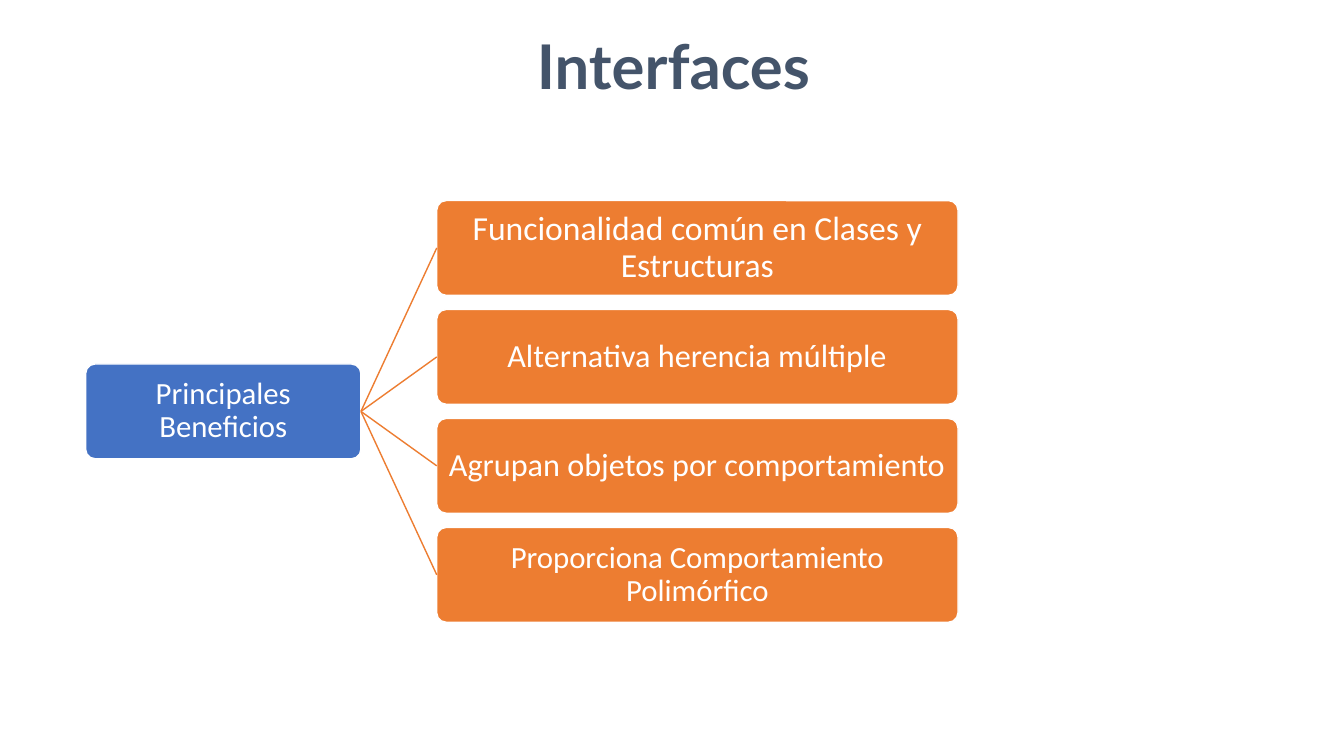
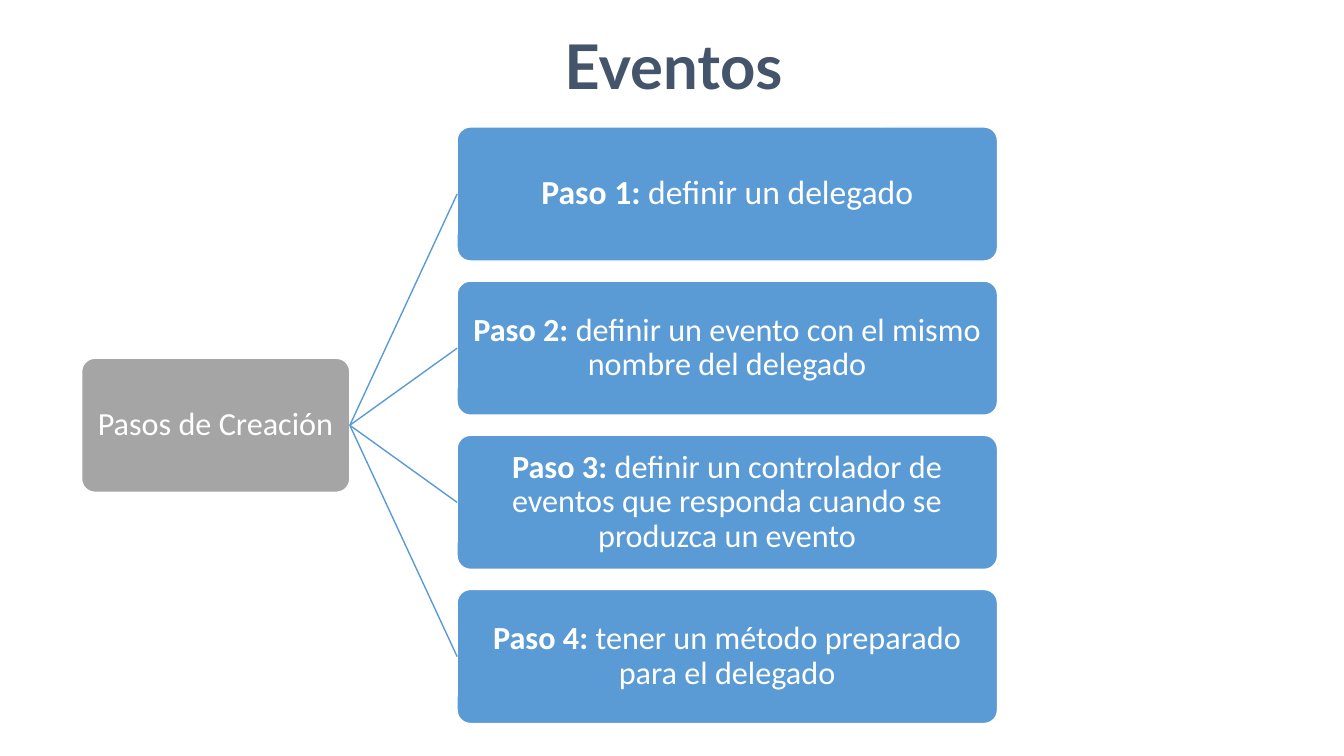
from pptx import Presentation
from pptx.dml.color import RGBColor
from pptx.enum.shapes import MSO_CONNECTOR as Connector, MSO_SHAPE as Shape
from pptx.enum.text import MSO_ANCHOR as Anchor, MSO_AUTO_SIZE as AutoSize, PP_ALIGN as Align
from pptx.oxml.ns import qn
from pptx.util import Inches, Pt
from lxml.etree import SubElement

WHITE, SLATE = "FFFFFF", "44546A"
BLUE, ORANGE, GRAY, SKY = "4472C4", "ED7D31", "A5A5A5", "5B9BD5"
TITLE_FONT, BODY_FONT = "Lato", "Calibri"
TITLE_LAYOUT = 5
RIGHT_SITE, LEFT_SITE = 3, 1
PITCH_RATIO, GAP_RATIO = 1.15, 0.8


def color(code):
    return RGBColor.from_string(code)


def write_text(shape, text, size, label="", font=BODY_FONT, ink=WHITE, bold=False,
               anchor=Anchor.MIDDLE, side_inset=0.02, line_spacing=0.9):
    frame = shape.text_frame
    frame.word_wrap = True
    frame.auto_size = AutoSize.NONE
    frame.vertical_anchor = anchor
    frame.margin_left = frame.margin_right = Inches(side_inset)
    frame.margin_top = frame.margin_bottom = Inches(0.02)
    para = frame.paragraphs[0]
    para.alignment = Align.CENTER
    para.line_spacing = line_spacing
    for words, heavy in ((label, True), (text, bold)):
        if words:
            span = para.add_run()
            span.text = words
            span.font.name = font
            span.font.size = Pt(size)
            span.font.bold = heavy
            span.font.color.rgb = color(ink)


def add_titled_page(deck, title):
    page = deck.slides.add_slide(deck.slide_layouts[TITLE_LAYOUT])
    box = page.shapes.title
    box.left, box.top = Inches(0.13), Inches(0.26)
    box.width, box.height = Inches(13.1), Inches(0.79)
    write_text(box, title, 44, font=TITLE_FONT, ink=SLATE, bold=True,
               anchor=Anchor.TOP, side_inset=0.05, line_spacing=1.0)
    return page


def add_node(page, left, top, width, height, fill, text, size, label=""):
    node = page.shapes.add_shape(Shape.ROUNDED_RECTANGLE, Inches(left), Inches(top),
                                 Inches(width), Inches(height))
    node.adjustments[0] = 0.1
    node.shadow.inherit = False
    node.fill.solid()
    node.fill.fore_color.rgb = color(fill)
    node.line.color.rgb = color(WHITE)
    node.line.width = Pt(1)
    write_text(node, text, size, label=label)
    return node


def add_link(page, root, branch, ink):
    link = page.shapes.add_connector(Connector.STRAIGHT, 0, 0, 0, 0)
    link.begin_connect(root, RIGHT_SITE)
    link.end_connect(branch, LEFT_SITE)
    link.line.color.rgb = color(ink)
    link.line.width = Pt(1)
    SubElement(link._element.spPr, qn("a:effectLst"))


def add_tree(page, left, top, node_height, root_width, branch_width,
             root_fill, branch_fill, root, branches):
    pitch = node_height * PITCH_RATIO
    root_top = top + pitch * (len(branches) - 1) / 2
    branch_left = left + root_width + node_height * GAP_RATIO
    root_node = add_node(page, left, root_top, root_width, node_height, root_fill, *root)
    for row, branch in enumerate(branches):
        branch_node = add_node(page, branch_left, top + row * pitch, branch_width,
                               node_height, branch_fill, *branch)
        add_link(page, root_node, branch_node, branch_fill)


def build_interfaces(deck):
    page = add_titled_page(deck, "Interfaces")
    add_tree(page, 0.85, 1.99, 0.94, 2.73, 5.17, BLUE, ORANGE,
             ("Principales Beneficios", 22),
             [("Funcionalidad común en Clases y Estructuras", 24),
              ("Alternativa herencia múltiple", 23),
              ("Agrupan objetos por comportamiento", 23),
              ("Proporciona Comportamiento Polimórfico", 22)])


def build_events(deck):
    page = add_titled_page(deck, "Eventos")
    steps = [(" definir un delegado", 24),
             (" definir un evento con el mismo nombre del delegado", 23),
             (" definir un controlador de eventos que responda cuando se produzca un evento", 23),
             (" tener un método preparado para el delegado", 23)]
    add_tree(page, 0.81, 1.26, 1.33, 2.66, 5.36, GRAY, SKY,
             ("Pasos de Creación", 23),
             [(text, size, f"Paso {number}:")
              for number, (text, size) in enumerate(steps, 1)])


def main():
    deck = Presentation()
    deck.slide_width, deck.slide_height = Inches(13.33), Inches(7.5)
    build_interfaces(deck)
    build_events(deck)
    deck.save("out.pptx")


if __name__ == "__main__":
    main()
